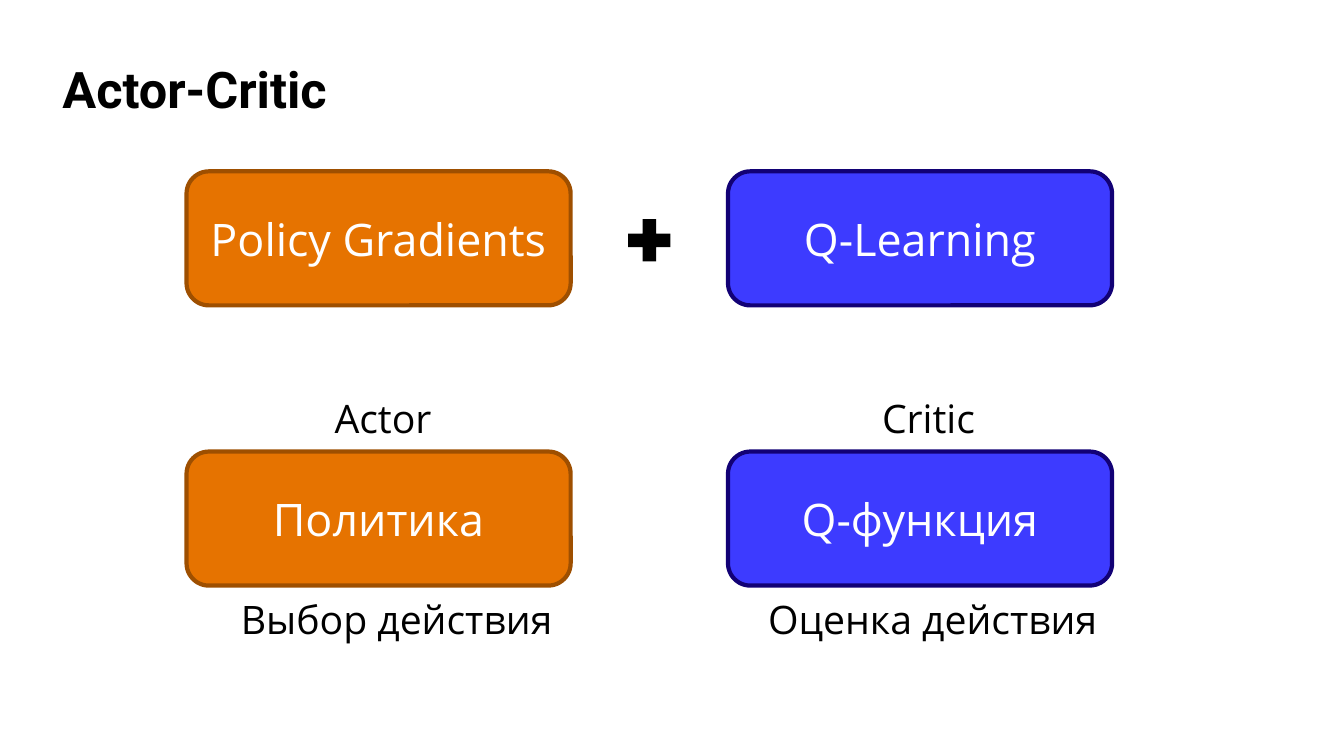
import pptx
import pptx.util
from pptx.dml.color import RGBColor
from pptx.enum.shapes import MSO_SHAPE
from pptx.enum.text import MSO_ANCHOR, MSO_AUTO_SIZE, PP_ALIGN

BLACK = RGBColor(0x00, 0x00, 0x00)
WHITE = RGBColor(0xFF, 0xFF, 0xFF)
ORANGE = RGBColor(0xE6, 0x73, 0x00)
DARK_ORANGE = RGBColor(0x9E, 0x4F, 0x00)
BLUE = RGBColor(0x3D, 0x3B, 0xFF)
DARK_BLUE = RGBColor(0x12, 0x01, 0x75)

SLIDE_WIDTH, SLIDE_HEIGHT = 13.33, 7.5
CARD_WIDTH, CARD_HEIGHT = 3.81, 1.33
ACTOR_LEFT, CRITIC_LEFT = 1.85, 7.22
METHOD_TOP, ROLE_TOP = 1.7, 4.48
CAPTION_HEIGHT = 0.57
ROLE_GAP, TASK_GAP = 0.05, 0.05
PLUS_SIZE = 0.57


def inches(*lengths):
    return [pptx.util.Inches(length) for length in lengths]


def write(shape, text, font_name, size, color, bold=False):
    paragraph = shape.text_frame.paragraphs[0]
    paragraph.text = text
    paragraph.font.name = font_name
    paragraph.font.size = pptx.util.Pt(size)
    paragraph.font.color.rgb = color
    paragraph.font.bold = bold
    return paragraph


def add_title(slide, text, left, top, width, height):
    title = slide.shapes.add_textbox(*inches(left, top, width, height))
    title.text_frame.word_wrap = True
    title.text_frame.vertical_anchor = MSO_ANCHOR.MIDDLE
    write(title, text, "Roboto", 36, BLACK, bold=True).line_spacing = 0.9


def add_card(slide, text, left, top, fill, outline):
    card = slide.shapes.add_shape(
        MSO_SHAPE.ROUNDED_RECTANGLE, *inches(left, top, CARD_WIDTH, CARD_HEIGHT))
    card.shadow.inherit = False
    card.fill.solid()
    card.fill.fore_color.rgb = fill
    card.line.color.rgb = outline
    card.line.width = pptx.util.Pt(3)
    card.text_frame.vertical_anchor = MSO_ANCHOR.MIDDLE
    write(card, text, "Open Sans", 32, WHITE).alignment = PP_ALIGN.CENTER


def add_caption(slide, text, left, top, width):
    caption = slide.shapes.add_textbox(*inches(left, top, width, CAPTION_HEIGHT))
    caption.text_frame.word_wrap = False
    caption.text_frame.auto_size = MSO_AUTO_SIZE.SHAPE_TO_FIT_TEXT
    write(caption, text, "Open Sans", 28, BLACK)


def add_column(slide, left, fill, outline, method, model, role, task):
    """Stack the method card over the model card with its role and task.

    Role and task are (text, offset from the column's left, width).
    """
    add_card(slide, method, left, METHOD_TOP, fill, outline)
    add_card(slide, model, left, ROLE_TOP, fill, outline)
    role_top = ROLE_TOP - ROLE_GAP - CAPTION_HEIGHT
    task_top = ROLE_TOP + CARD_HEIGHT + TASK_GAP
    for (text, offset, width), top in ((role, role_top), (task, task_top)):
        add_caption(slide, text, left + offset, top, width)


def add_plus(slide, center_x, center_y):
    plus = slide.shapes.add_shape(
        MSO_SHAPE.MATH_PLUS,
        *inches(center_x - PLUS_SIZE / 2, center_y - PLUS_SIZE / 2, PLUS_SIZE, PLUS_SIZE))
    plus.shadow.inherit = False
    plus.fill.solid()
    plus.fill.fore_color.rgb = BLACK
    plus.line.fill.background()


def main():
    deck = pptx.Presentation()
    deck.slide_width, deck.slide_height = inches(SLIDE_WIDTH, SLIDE_HEIGHT)
    slide = deck.slides.add_slide(deck.slide_layouts[6])

    add_title(slide, "Actor-Critic", 0.52, 0.55, 12.69, 0.72)
    add_column(slide, ACTOR_LEFT, ORANGE, DARK_ORANGE, "Policy Gradients", "Политика",
               ("Actor", 1.37, 1.17), ("Выбор действия", 0.44, 3.33))
    add_column(slide, CRITIC_LEFT, BLUE, DARK_BLUE, "Q-Learning", "Q-функция",
               ("Critic", 1.43, 1.16), ("Оценка действия", 0.3, 3.5))
    add_plus(slide, (ACTOR_LEFT + CARD_WIDTH + CRITIC_LEFT) / 2, METHOD_TOP + CARD_HEIGHT / 2 + 0.02)

    deck.save("out.pptx")


if __name__ == "__main__":
    main()
